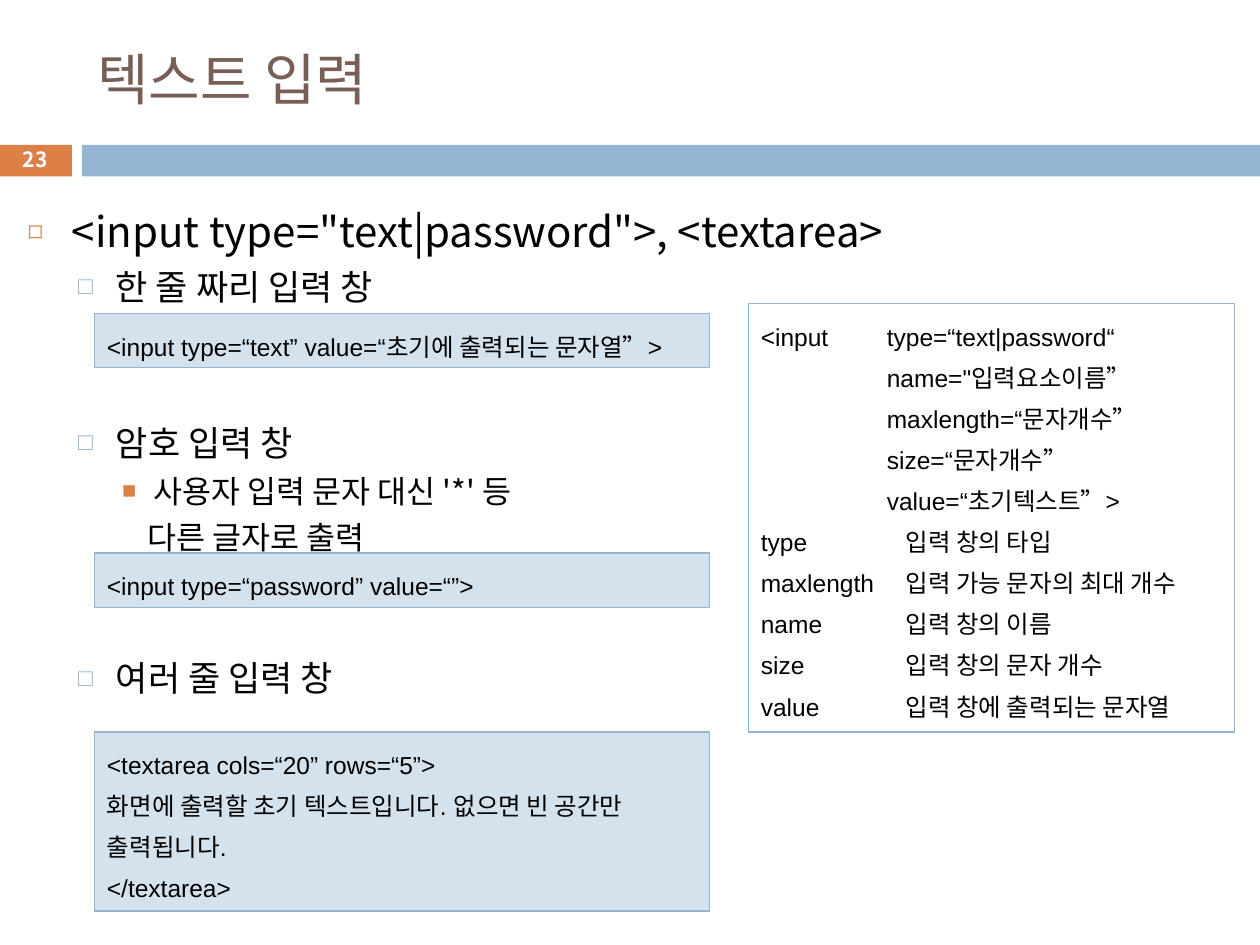
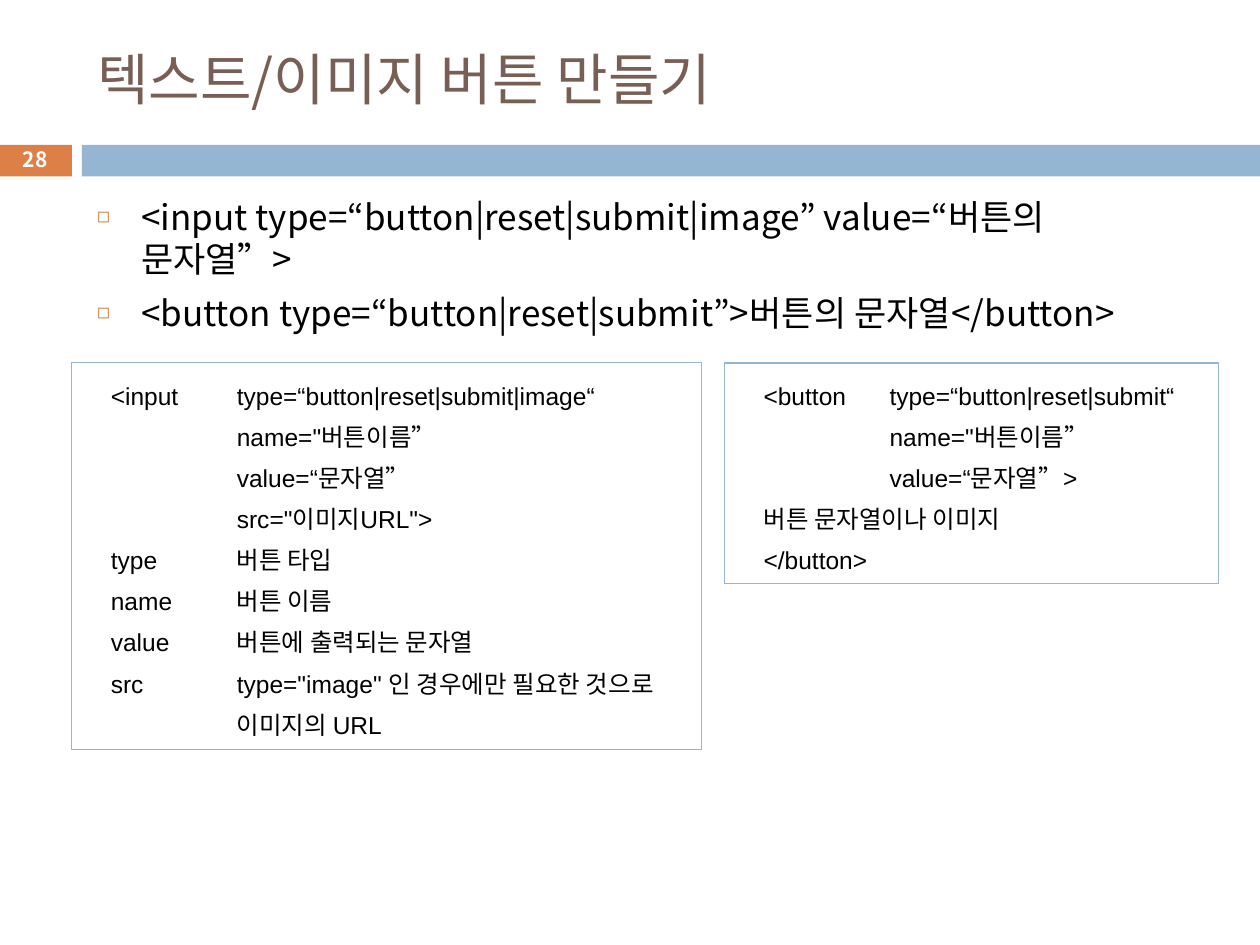
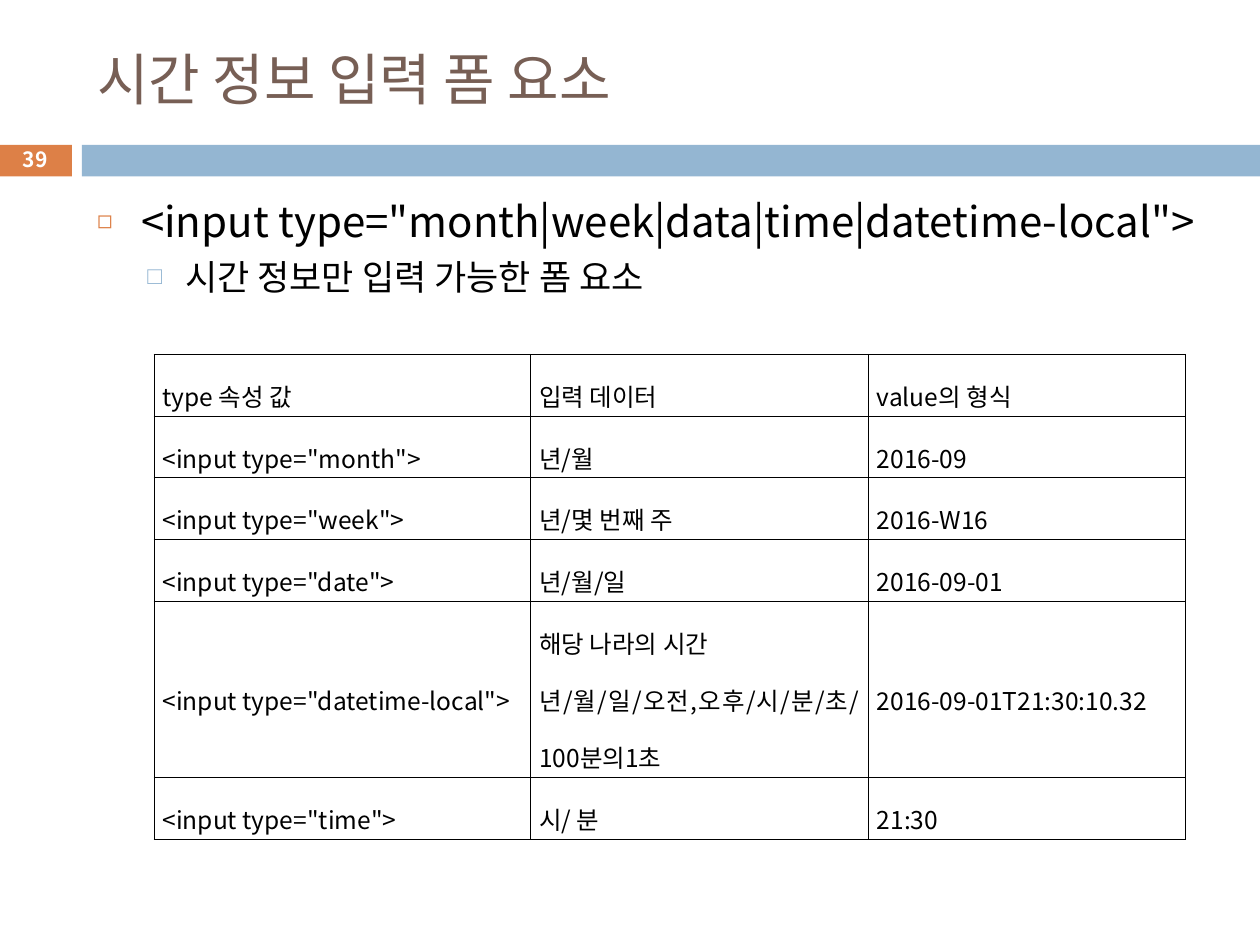
from dataclasses import dataclass

from lxml.etree import SubElement
from pptx import Presentation
from pptx.dml.color import RGBColor as RGB
from pptx.enum.shapes import MSO_SHAPE as SHAPE
from pptx.enum.text import MSO_ANCHOR as ANCHOR, MSO_AUTO_SIZE as FIT, PP_ALIGN as ALIGN
from pptx.oxml.ns import qn
from pptx.util import Inches, Pt


@dataclass(frozen=True)
class Theme:
    sans: str = "Noto Sans CJK KR"
    code: str = "Arial"
    title: str = "775F55"
    orange: str = "DD8047"
    blue: str = "94B6D2"
    pale: str = "D4E2ED"
    white: str = "FFFFFF"
    black: str = "000000"
    title_size: float = 32
    head_size: float = 24
    item_size: float = 20
    sub_size: float = 18
    small_size: float = 14
    number_size: float = 12
    code_line: float = 23.5
    body_line: float = 1.2


T = Theme()
prs = Presentation()
prs.slide_width, prs.slide_height = Inches(10), Inches(7.5)
COL, ROW = prs.slide_width / 100, prs.slide_height / 75


def cells(x, y, w, h):
    return round(x * COL), round(y * ROW), round(w * COL), round(h * ROW)


def add_run(p, text, size, color=T.black, font=T.sans, bold=False):
    r = p.add_run()
    r.text = text
    r.font.size, r.font.name, r.font.bold = Pt(size), font, bold
    r.font.color.rgb = RGB.from_string(color)
    SubElement(r._r.rPr, qn("a:ea"), typeface=T.sans)


BULLETS = {
    "head": (0, 0.35, -0.35, "◻", T.orange, 60),
    "item": (1, 0.7, -0.3, "□", T.blue, 70),
    "sub": (2, 1, -0.25, "■", T.orange, 75),
    "more": (2, 0.95, 0, None, None, None),
}

PAGES = [
    ("텍스트 입력", "23", (1.2, 15.8), [
        ("head", '<input type="text|password">, <textarea>', T.head_size, 0),
        ("item", "한 줄 짜리 입력 창", T.item_size, 5.5),
        ("item", "암호 입력 창", T.item_size, 65),
        ("sub", "사용자 입력 문자 대신 '*' 등", T.sub_size, 5),
        ("more", "다른 글자로 출력", T.sub_size, 5),
        ("item", "여러 줄 입력 창", T.item_size, 57.5),
    ]),
    ("텍스트/이미지 버튼 만들기", "28", (6.7, 15), [
        ("head", "<input type=“button|reset|submit|image” value=“버튼의 문자열”>", T.item_size, 0),
        ("head", "<button type=“button|reset|submit”>버튼의 문자열</button>", T.item_size, 7),
    ]),
    ("시간 정보 입력 폼 요소", "39", (6.7, 15), [
        ("head", '<input type="month|week|data|time|datetime-local">', T.head_size, 0),
        ("item", "시간 정보만 입력 가능한 폼 요소", T.item_size, 5.5),
    ]),
]

layout = prs.slide_layouts[1]
for ph in list(layout.placeholders)[2:]:
    ph.element.getparent().remove(ph.element)
ph = layout.placeholders[0]
ph.left, ph.top, ph.width, ph.height = cells(6.7, 2.5, 89.2, 7.4)
slides = [prs.slides.add_slide(layout) for _ in PAGES]

for i, (x, w, color) in enumerate([(-0.1, 5.8, T.orange), (6.5, 93.5, T.blue)]):
    sp = slides[0].shapes.add_shape(SHAPE.RECTANGLE, *cells(x, 11.5, w, 2.5))
    sp.shadow.inherit = False
    sp.fill.solid()
    sp.fill.fore_color.rgb = RGB.from_string(color)
    sp.line.fill.background()
    sp.element.nvSpPr.cNvPr.set("id", str(50 + i))
    prs.slide_master.shapes.element.append(sp.element)

for s, (title, number, (x, y), items) in zip(slides, PAGES):
    tf = s.shapes.title.text_frame
    tf.auto_size, tf.vertical_anchor = FIT.NONE, ANCHOR.MIDDLE
    p = tf.paragraphs[0]
    p.alignment = ALIGN.LEFT
    add_run(p, title, T.title_size, T.title)

    body = s.placeholders[1]
    body.left, body.top, body.width, body.height = cells(x, y, 89.2, 55.1)
    tf = body.text_frame
    tf.auto_size = FIT.NONE
    for i, (kind, text, size, before) in enumerate(items):
        level, margin, hang, mark, color, share = BULLETS[kind]
        p = tf.paragraphs[0] if i == 0 else tf.add_paragraph()
        p.level = level
        p.line_spacing, p.space_before = Pt(size * T.body_line), Pt(before)
        pPr = p._p.get_or_add_pPr()
        pPr.set("marL", str(Inches(margin)))
        pPr.set("indent", str(Inches(hang)))
        if mark:
            SubElement(SubElement(pPr, qn("a:buClr")), qn("a:srgbClr"), val=color)
            SubElement(pPr, qn("a:buSzPct"), val=str(share * 1000))
            SubElement(pPr, qn("a:buChar"), char=mark)
        else:
            SubElement(pPr, qn("a:buNone"))
        add_run(p, text, size)

    tf = s.shapes.add_textbox(*cells(-0.1, 11.3, 5.8, 2.7)).text_frame
    tf.word_wrap, tf.vertical_anchor = True, ANCHOR.MIDDLE
    tf.margin_top = tf.margin_bottom = 0
    p = tf.paragraphs[0]
    p.alignment = ALIGN.CENTER
    add_run(p, number, T.number_size, T.white, bold=True)

BOXES = [
    (slides[0], (7.5, 24.9, 48.8, 4.3), T.pale, 1, 1, [
        "<input type=“text” value=“초기에 출력되는 문자열”>"]),
    (slides[0], (7.5, 43.9, 48.8, 4.3), T.pale, 1, 1, [
        "<input type=“password” value=“”>"]),
    (slides[0], (7.5, 58.1, 48.8, 14.2), T.pale, 1, 1, [
        "<textarea cols=“20” rows=“5”>",
        "화면에 출력할 초기 텍스트입니다. 없으면 빈 공간만 출력됩니다.",
        "</textarea>"]),
    (slides[0], (59.4, 24.1, 38.6, 34), T.white, 1, 1.15, [
        "<input\ttype=“text|password“",
        '\tname="입력요소이름”',
        "\tmaxlength=“문자개수”",
        "\tsize=“문자개수”",
        "\tvalue=“초기텍스트”>",
        "type\t입력 창의 타입",
        "maxlength\t입력 가능 문자의 최대 개수",
        "name\t입력 창의 이름",
        "size\t입력 창의 문자 개수",
        "value\t입력 창에 출력되는 문자열"]),
    (slides[1], (5.7, 28.8, 50, 30.7), None, 3.1, 1, [
        "<input\ttype=“button|reset|submit|image“",
        '\tname="버튼이름”',
        "\tvalue=“문자열”",
        '\tsrc="이미지URL">',
        "type\t버튼 타입",
        "name\t버튼 이름",
        "value\t버튼에 출력되는 문자열",
        'src\ttype="image" 인 경우에만 필요한 것으로',
        "\t이미지의 URL"]),
    (slides[1], (57.5, 28.8, 39.2, 17.5), None, 3.1, 1, [
        "<button\ttype=“button|reset|submit“",
        '\tname="버튼이름”',
        "\tvalue=“문자열”>",
        "버튼 문자열이나 이미지",
        "</button>"]),
]

for s, area, fill, inset, note_tab, lines in BOXES:
    sp = s.shapes.add_shape(SHAPE.RECTANGLE, *cells(*area))
    sp.shadow.inherit = False
    if fill:
        sp.fill.solid()
        sp.fill.fore_color.rgb = RGB.from_string(fill)
    else:
        sp.fill.background()
    sp.line.color.rgb, sp.line.width = RGB.from_string(T.blue), Pt(0.75)
    tf = sp.text_frame
    tf.word_wrap, tf.vertical_anchor = True, ANCHOR.TOP
    tf.margin_left = round(inset * COL)
    for i, line in enumerate(lines):
        p = tf.paragraphs[0] if i == 0 else tf.add_paragraph()
        p.alignment, p.line_spacing = ALIGN.LEFT, Pt(T.code_line)
        if "\t" in line:
            stop = 1 if line[0] in "<\t" else note_tab
            tabs = SubElement(p._p.get_or_add_pPr(), qn("a:tabLst"))
            SubElement(tabs, qn("a:tab"), pos=str(Inches(stop)), algn="l")
        add_run(p, line, T.small_size, font=T.code)

ROWS = [
    ("type 속성 값", "입력 데이터", "value의 형식"),
    ('<input type="month">', "년/월", "2016-09"),
    ('<input type="week">', "년/몇 번째 주", "2016-W16"),
    ('<input type="date">', "년/월/일", "2016-09-01"),
    ('<input type="datetime-local">',
     "해당 나라의 시간\n년/월/일/오전,오후/시/분/초/100분의1초",
     "2016-09-01T21:30:10.32"),
    ('<input type="time">', "시/ 분", "21:30"),
]
frame = slides[2].shapes.add_table(len(ROWS), 3, *cells(12.2, 28.1, 81.9, 38.6))
table = frame.table
for column, width in zip(table.columns, (29.9, 26.8, 25.2)):
    column.width = round(width * COL)
for row, texts in zip(table.rows, ROWS):
    row.height = round((14 if "\n" in texts[1] else 4.9) * ROW)
    for cell, text in zip(row.cells, texts):
        cell.vertical_anchor = ANCHOR.MIDDLE
        cell.margin_left = cell.margin_right = Inches(0.07)
        cell.margin_top = cell.margin_bottom = Inches(0.02)
        tcPr = cell._tc.get_or_add_tcPr()
        for side in ("lnL", "lnR", "lnT", "lnB"):
            ln = SubElement(tcPr, qn(f"a:{side}"), w=str(Pt(0.28)))
            SubElement(SubElement(ln, qn("a:solidFill")), qn("a:srgbClr"), val=T.black)
        cell.fill.background()
        for i, line in enumerate(text.split("\n")):
            p = cell.text_frame.paragraphs[0] if i == 0 else cell.text_frame.add_paragraph()
            p.alignment, p.line_spacing = ALIGN.JUSTIFY, 1.6
            add_run(p, line, T.small_size)

prs.save("out.pptx")
